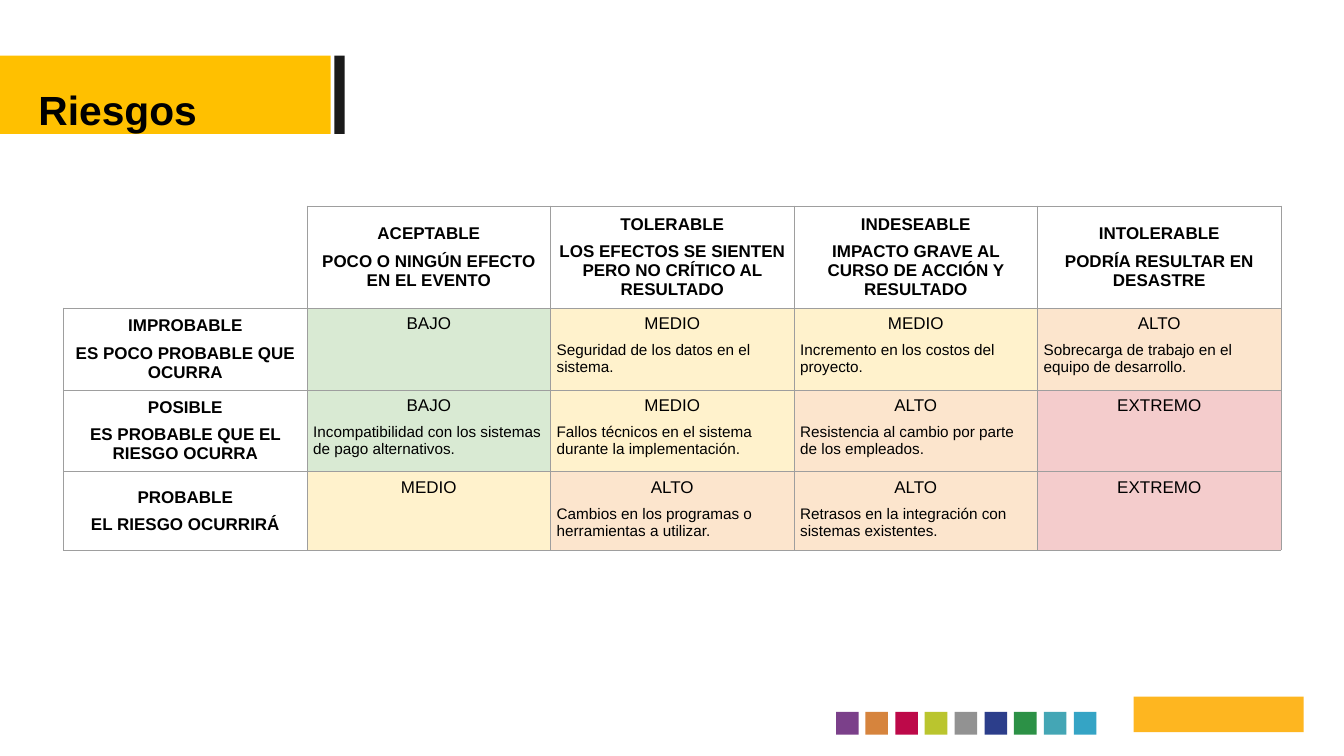
from dataclasses import dataclass, field

from pptx import Presentation
from pptx.dml.color import RGBColor
from pptx.enum.shapes import MSO_SHAPE
from pptx.enum.text import MSO_ANCHOR, MSO_AUTO_SIZE, PP_ALIGN
from pptx.oxml import parse_xml
from pptx.oxml.ns import nsdecls
from pptx.util import Pt

EMU_PER_PX = 9144
SLIDE_WIDTH, SLIDE_HEIGHT = 2199, 1237
TITLE_ONLY = 5
RECTANGLE = MSO_SHAPE.RECTANGLE
TOP, MIDDLE = MSO_ANCHOR.TOP, MSO_ANCHOR.MIDDLE
LEFT, CENTER = PP_ALIGN.LEFT, PP_ALIGN.CENTER
NO_AUTOFIT = MSO_AUTO_SIZE.NONE


@dataclass
class Theme:
    text: str = "000000"
    background: str = "FFFFFF"
    banner: str = "FFC000"
    banner_edge: str = "1A1A1A"
    emblem: str = "FEB620"
    grid: str = "9E9E9E"
    grid_width: int = Pt(0.75)
    paragraph_gap: int = Pt(10)
    levels: dict = field(default_factory=lambda: {
        "BAJO": "D9EAD3", "MEDIO": "FFF2CC", "ALTO": "FCE5CD", "EXTREMO": "F4CCCC"})
    palette: tuple = ("7B408A", "D6843D", "BD0949", "BAC52E", "929292",
                      "2C3E8B", "2C9146", "44A6B5", "35A4C5")
    title: dict = field(default_factory=lambda: {
        "name": "Arial", "size": Pt(48), "bold": True})
    heading: dict = field(default_factory=lambda: {
        "name": "Arial", "size": Pt(20), "bold": True})
    level: dict = field(default_factory=lambda: {
        "name": "Arial", "size": Pt(20), "bold": False})
    risk: dict = field(default_factory=lambda: {
        "name": "Arial", "size": Pt(18), "bold": False})


SEVERITIES = [
    ("ACEPTABLE", "POCO O NINGÚN EFECTO EN EL EVENTO"),
    ("TOLERABLE", "LOS EFECTOS SE SIENTEN PERO NO CRÍTICO AL RESULTADO"),
    ("INDESEABLE", "IMPACTO GRAVE AL CURSO DE ACCIÓN Y RESULTADO"),
    ("INTOLERABLE", "PODRÍA RESULTAR EN DESASTRE"),
]
LIKELIHOODS = [
    (("IMPROBABLE", "ES POCO PROBABLE QUE OCURRA"), [
        ("BAJO", ""),
        ("MEDIO", "Seguridad de los datos en el sistema."),
        ("MEDIO", "Incremento en los costos del proyecto."),
        ("ALTO", "Sobrecarga de trabajo en el equipo de desarrollo."),
    ]),
    (("POSIBLE", "ES PROBABLE QUE EL RIESGO OCURRA"), [
        ("BAJO", "Incompatibilidad con los sistemas de pago alternativos."),
        ("MEDIO", "Fallos técnicos en el sistema durante la implementación."),
        ("ALTO", "Resistencia al cambio por parte de los empleados."),
        ("EXTREMO", ""),
    ]),
    (("PROBABLE", "EL RIESGO OCURRIRÁ"), [
        ("MEDIO", ""),
        ("ALTO", "Cambios en los programas o herramientas a utilizar."),
        ("ALTO", "Retrasos en la integración con sistemas existentes."),
        ("EXTREMO", ""),
    ]),
]
ROW_HEIGHTS = [167, 134, 134, 128]


def px(length):
    return length * EMU_PER_PX


def assign(target, values):
    for attribute, value in values.items():
        setattr(target, attribute, value)


class SlideBuilder:
    def __init__(self, slide, theme):
        self.slide = slide
        self.theme = theme

    def block(self, left, top, width, height, color):
        block = self.slide.shapes.add_shape(
            RECTANGLE, px(left), px(top), px(width), px(height))
        block.fill.solid()
        block.fill.fore_color.rgb = RGBColor.from_string(color)
        block.line.fill.background()
        block.shadow.inherit = False

    def add_text(self, paragraph, text, style, alignment):
        paragraph.alignment = alignment
        run = paragraph.add_run()
        run.text = text
        assign(run.font, style)
        run.font.color.rgb = RGBColor.from_string(self.theme.text)

    def title(self, text, left, top, width, height):
        """Fill the title placeholder and bring it in front of the banner."""
        title = self.slide.shapes.title
        assign(title, {"left": px(left), "top": px(top),
                       "width": px(width), "height": px(height)})
        frame = title.text_frame
        assign(frame, {"margin_left": 0, "margin_top": 0, "margin_right": 0,
                       "margin_bottom": 0, "vertical_anchor": TOP,
                       "auto_size": NO_AUTOFIT, "word_wrap": True})
        self.add_text(frame.paragraphs[0], text, self.theme.title, LEFT)
        title.element.getparent().append(title.element)

    def borders(self, cell, hidden_sides=()):
        properties = cell._tc.get_or_add_tcPr()
        for position, side in enumerate("LRTB"):
            color = self.theme.background if side in hidden_sides else self.theme.grid
            properties.insert(position, parse_xml(
                f'<a:ln{side} {nsdecls("a")} w="{self.theme.grid_width}"><a:solidFill>'
                f'<a:srgbClr val="{color}"/></a:solidFill></a:ln{side}>'))

    def cell(self, cell, color, anchor=TOP, lines=(), hidden_sides=()):
        """Format a table cell; each line is (text, style, alignment)."""
        assign(cell, {"margin_left": px(10), "margin_right": px(10),
                      "margin_top": px(10), "margin_bottom": px(10),
                      "vertical_anchor": anchor})
        cell.fill.solid()
        cell.fill.fore_color.rgb = RGBColor.from_string(color)
        self.borders(cell, hidden_sides)
        frame = cell.text_frame
        for index, line in enumerate(lines):
            paragraph = frame.add_paragraph() if index else frame.paragraphs[0]
            if index:
                paragraph.space_before = self.theme.paragraph_gap
            self.add_text(paragraph, *line)

    def heading_cell(self, cell, texts):
        self.cell(cell, self.theme.background, MIDDLE,
                  [(text, self.theme.heading, CENTER) for text in texts])

    def risk_cell(self, cell, level, risk):
        lines = [(level, self.theme.level, CENTER)]
        if risk:
            lines.append((risk, self.theme.risk, LEFT))
        self.cell(cell, self.theme.levels[level], lines=lines)

    def risk_matrix(self, left, top, width):
        matrix = self.slide.shapes.add_table(
            len(LIKELIHOODS) + 1, len(SEVERITIES) + 1,
            px(left), px(top), px(width), px(sum(ROW_HEIGHTS))).table
        assign(matrix, {"first_row": False, "horz_banding": False})
        for row, height in zip(matrix.rows, ROW_HEIGHTS):
            row.height = px(height)
        self.cell(matrix.cell(0, 0), self.theme.background, hidden_sides="LT")
        for column, severity in enumerate(SEVERITIES, 1):
            self.heading_cell(matrix.cell(0, column), severity)
        for row, (likelihood, risks) in enumerate(LIKELIHOODS, 1):
            self.heading_cell(matrix.cell(row, 0), likelihood)
            for column, (level, risk) in enumerate(risks, 1):
                self.risk_cell(matrix.cell(row, column), level, risk)

    def color_strip(self, left, top, size, span):
        """Spread the palette squares evenly over the span."""
        last = len(self.theme.palette) - 1
        for index, color in enumerate(self.theme.palette):
            self.block(left + index * (span - size) // last, top, size, size, color)


def main():
    presentation = Presentation()
    assign(presentation, {"slide_width": px(SLIDE_WIDTH),
                          "slide_height": px(SLIDE_HEIGHT)})
    slide = presentation.slides.add_slide(presentation.slide_layouts[TITLE_ONLY])
    theme = Theme()
    builder = SlideBuilder(slide, theme)
    builder.block(0, 91, 541, 128, theme.banner)
    builder.block(547, 91, 17, 128, theme.banner_edge)
    builder.color_strip(1368, 1165, 37, 426)
    builder.block(1855, 1140, 278, 58, theme.emblem)
    builder.title("Riesgos", 63, 138, 475, 81)
    builder.risk_matrix(104, 337, 1992)
    presentation.save("out.pptx")


if __name__ == "__main__":
    main()
